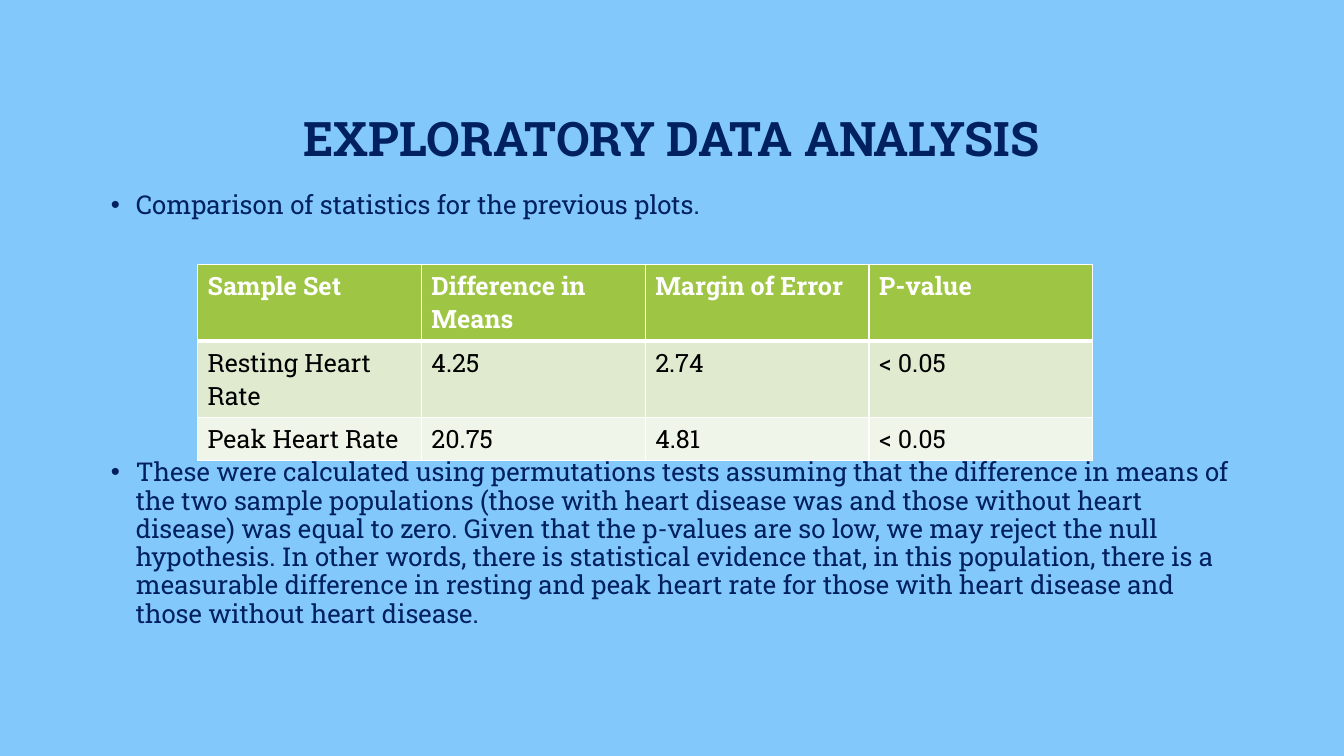
"""Build the exploratory data analysis slide with its statistics table."""
from lxml import etree
from pptx import Presentation
from pptx.dml.color import RGBColor
from pptx.enum import text
from pptx.oxml.ns import qn
from pptx.util import Inches, Pt

TITLE = "EXPLORATORY DATA ANALYSIS"
BULLETS = [
    ("Comparison of statistics for the previous plots.", 10),
    ("These were calculated using permutations tests assuming that the difference in means of "
     "the two sample populations (those with heart disease was and those without heart disease) "
     "was equal to zero. Given that the p-values are so low, we may reject the null hypothesis. "
     "In other words, there is statistical evidence that, in this population, there is a "
     "measurable difference in resting and peak heart rate for those with heart disease and "
     "those without heart disease.", 171),
]
STATISTICS = [
    ("Sample Set", "Difference in Means", "Margin of Error", "P-value"),
    ("Resting Heart Rate", "4.25", "2.74", "< 0.05"),
    ("Peak Heart Rate", "20.75", "4.81", "< 0.05"),
]
ROW_HEIGHTS = [0.76, 0.76, 0.43]
COLUMN_WIDTH = 2.22
ROW_FILLS = ["header", "band", "light"]
COLORS = {"background": "82C8FB", "navy": "002060", "header": "9EC544", "band": "DFEACF",
          "light": "F0F5E9", "white": "FFFFFF", "black": "000000"}
FONT = "Roboto Slab"


def color(name):
    return RGBColor.from_string(COLORS[name])


def set_font(paragraph, size, color_name, bold=False):
    font = paragraph.font
    font.name, font.size, font.bold = FONT, Pt(size), bold
    font.color.rgb = color(color_name)


def add_bullet(paragraph):
    properties = paragraph._p.get_or_add_pPr()
    properties.set("marL", str(Inches(0.25)))
    properties.set("indent", str(-Inches(0.25)))
    etree.SubElement(properties, qn("a:buFont"), typeface="Arial")
    etree.SubElement(properties, qn("a:buChar"), char="•")


def set_borders(cell, bottom_width, top_width):
    properties = cell._tc.get_or_add_tcPr()
    widths = {"a:lnL": 1, "a:lnR": 1, "a:lnT": top_width, "a:lnB": bottom_width}
    for position, (tag, width) in enumerate(widths.items()):
        line = etree.Element(qn(tag), w=str(Pt(width)))
        fill = etree.SubElement(line, qn("a:solidFill"))
        etree.SubElement(fill, qn("a:srgbClr"), val=COLORS["white"])
        properties.insert(position, line)


def add_title(slide):
    title = slide.shapes.title
    title.left, title.top = Inches(1), Inches(0.67)
    title.width, title.height = Inches(11.32), Inches(1.45)
    frame = title.text_frame
    frame.text = TITLE
    frame.vertical_anchor = text.MSO_ANCHOR.MIDDLE
    paragraph = frame.paragraphs[0]
    paragraph.alignment = text.PP_ALIGN.CENTER
    paragraph.line_spacing = 0.9
    set_font(paragraph, 34, "navy", bold=True)


def add_body(slide):
    body = slide.shapes.add_textbox(Inches(1), Inches(1.85), Inches(11.32), Inches(5.09))
    frame = body.text_frame
    frame.word_wrap = True
    for index, (wording, space_before) in enumerate(BULLETS):
        paragraph = frame.add_paragraph() if index else frame.paragraphs[0]
        paragraph.text = wording
        paragraph.line_spacing = 0.91
        paragraph.space_before = Pt(space_before)
        add_bullet(paragraph)
        set_font(paragraph, 18.5, "navy")


def add_statistics(slide):
    columns = len(STATISTICS[0])
    table = slide.shapes.add_table(
        len(STATISTICS), columns, Inches(1.96), Inches(2.62),
        Inches(COLUMN_WIDTH * columns), Inches(sum(ROW_HEIGHTS))).table
    for column in table.columns:
        column.width = Inches(COLUMN_WIDTH)
    for row_index, values in enumerate(STATISTICS):
        table.rows[row_index].height = Inches(ROW_HEIGHTS[row_index])
        is_header = row_index == 0
        for column_index, value in enumerate(values):
            cell = table.cell(row_index, column_index)
            cell.text = value
            cell.fill.solid()
            cell.fill.fore_color.rgb = color(ROW_FILLS[row_index])
            set_borders(cell, 3 if is_header else 1, 3 if row_index == 1 else 1)
            set_font(cell.text_frame.paragraphs[0], 18,
                     "white" if is_header else "black", bold=is_header)


def main():
    presentation = Presentation()
    presentation.slide_width, presentation.slide_height = Inches(13.33), Inches(7.5)
    slide = presentation.slides.add_slide(presentation.slide_layouts[5])
    slide.background.fill.solid()
    slide.background.fill.fore_color.rgb = color("background")
    add_title(slide)
    add_body(slide)
    add_statistics(slide)
    presentation.save("out.pptx")


if __name__ == "__main__":
    main()
